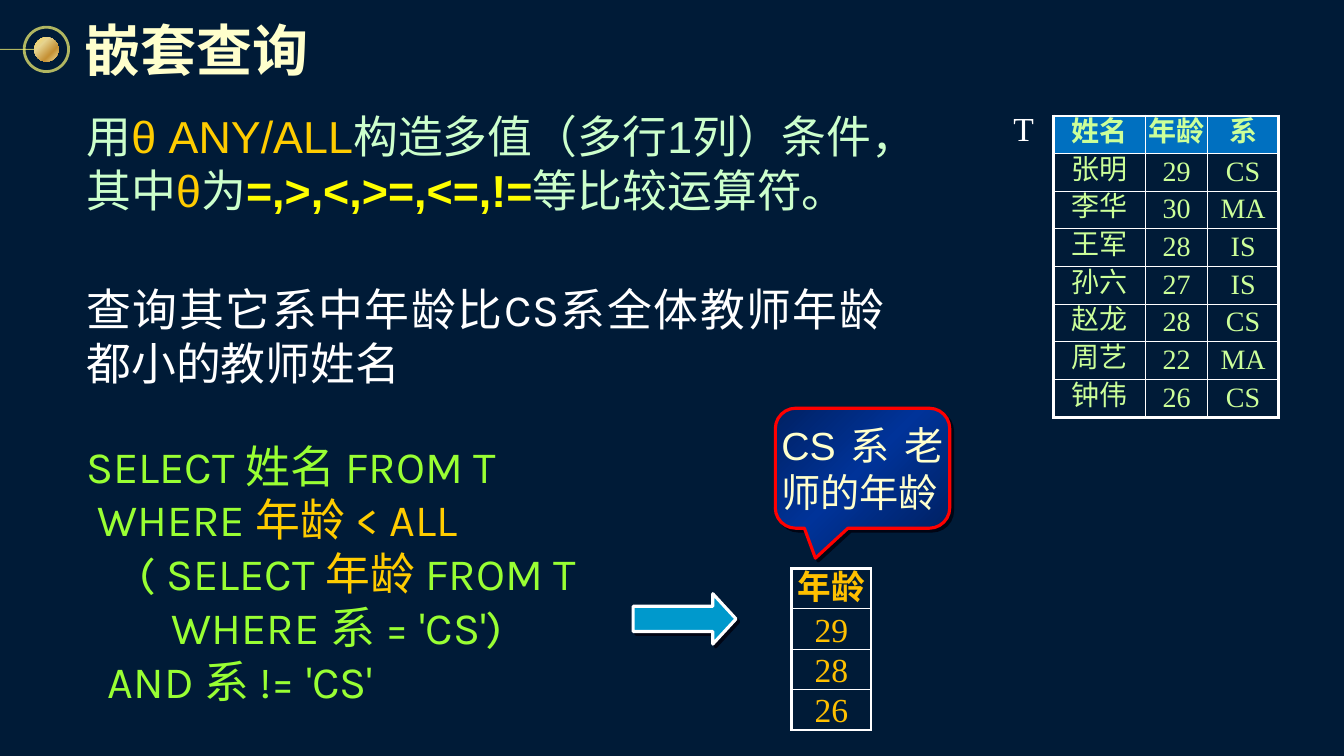
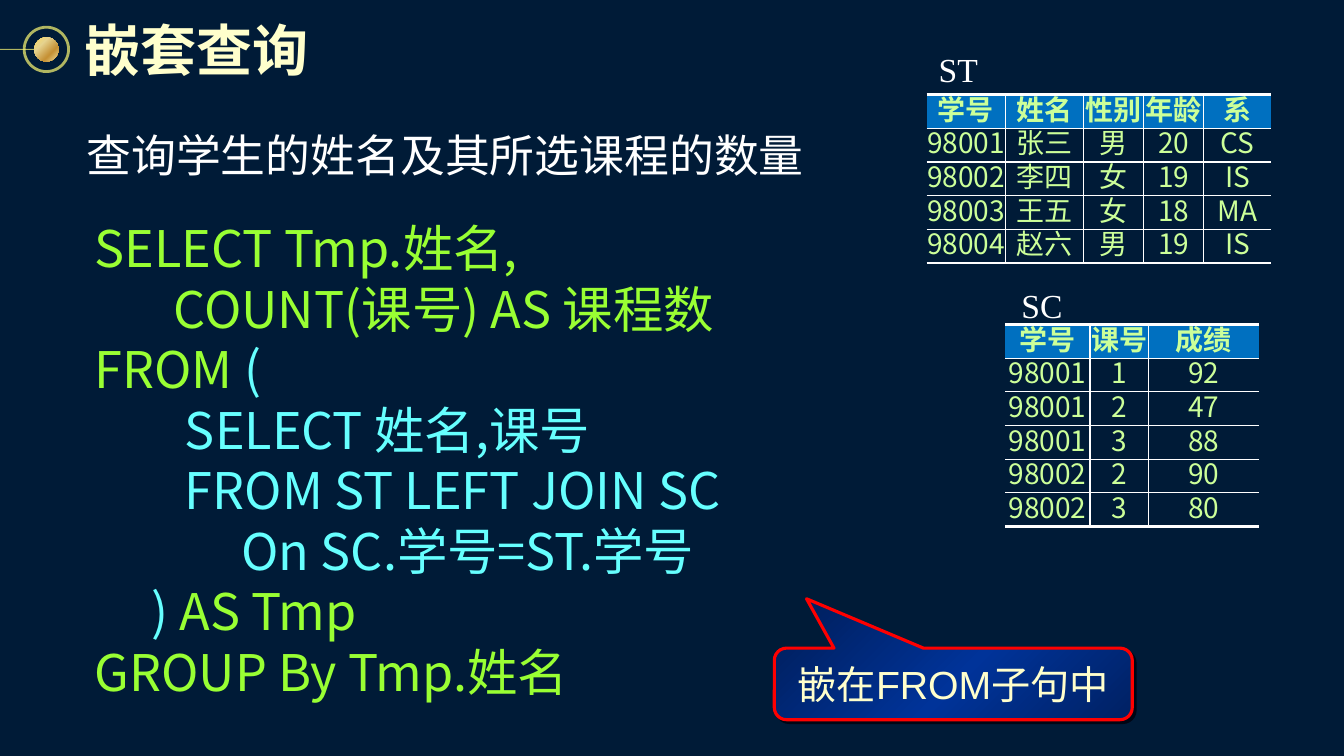
"""Build two lecture slides on nested SQL queries."""
from lxml import etree
from pptx import Presentation
from pptx.dml.color import RGBColor
from pptx.enum.shapes import MSO_CONNECTOR, MSO_SHAPE
from pptx.enum.text import MSO_ANCHOR, MSO_AUTO_SIZE, PP_ALIGN
from pptx.oxml.ns import qn
from pptx.util import Inches, Pt

OVAL = MSO_SHAPE.OVAL
ARROW = MSO_SHAPE.RIGHT_ARROW
CALLOUT = MSO_SHAPE.ROUNDED_RECTANGULAR_CALLOUT
STRAIGHT = MSO_CONNECTOR.STRAIGHT
TOP, MIDDLE = MSO_ANCHOR.TOP, MSO_ANCHOR.MIDDLE
FIT = MSO_AUTO_SIZE.SHAPE_TO_FIT_TEXT
LEFT, CENTER, JUSTIFY = PP_ALIGN.LEFT, PP_ALIGN.CENTER, PP_ALIGN.JUSTIFY

SANS, SERIF, CJK, CODE = "Arial", "Times New Roman", "Noto Sans CJK SC", "Karla"
NAVY, WHITE, CREAM, RED = "001B37", "FFFFFF", "FFFFCC", "FF0000"
GOLD, AMBER, YELLOW, RING = "FFCC00", "FFC000", "FFFF00", "FCF873"
LIME, CYAN, MINT, PALE_GREEN = "99FF33", "66FFFF", "CCFFCC", "CCFF99"
HEADER_BLUE, ARROW_BLUE, SHADOW = "0070C0", "0099CC", "000514"
BEAD_STOPS = [(0, "FCD860"), (31, "E6D38F"), (68, "C69135"), (100, "F1DF97")]
CALLOUT_STOPS = [(0, "002163"), (50, "003399"), (100, "002163")]
LINE_RATIO = 1.2
THIN, THICK = 1, 2.25


def rgb(value):
    """Turn a hex string into a colour."""
    return RGBColor.from_string(value)


def add_xml(parent, tag, **attributes):
    """Append a drawing element with the given attributes."""
    child = etree.SubElement(parent, qn(f"a:{tag}"))
    for key, value in attributes.items():
        child.set(key, str(value))
    return child


def add_shadow(effects):
    """Append the common lower-right shadow to an effect list."""
    shadow = add_xml(effects, "outerShdw", dist=Pt(2.8), dir=45 * 60000, algn="ctr")
    add_xml(shadow, "srgbClr", val=SHADOW)


def set_line(shape, color, width, opacity=100):
    """Give a shape or connector a solid line."""
    shape.line.color.rgb = rgb(color)
    shape.line.width = Pt(width)
    if opacity < 100:
        paint = shape.element.spPr.find(f"{qn('a:ln')}//{qn('a:srgbClr')}")
        add_xml(paint, "alpha", val=opacity * 1000)


def set_gradient(shape, stops, angle):
    """Fill a shape with a linear gradient of any number of stops."""
    shape.fill.gradient()
    gradient = shape.element.spPr.find(qn("a:gradFill"))
    stop_list = gradient.find(qn("a:gsLst"))
    for old_stop in list(stop_list):
        stop_list.remove(old_stop)
    for position, color in stops:
        stop = add_xml(stop_list, "gs", pos=position * 1000)
        add_xml(stop, "srgbClr", val=color)
    gradient.find(qn("a:lin")).set("ang", str(angle * 60000))


def set_borders(cell, widths):
    """Draw the left, right, top and bottom borders of a cell; 0 means none."""
    properties = cell._tc.get_or_add_tcPr()
    for side, width in zip("LRTB", widths):
        border = add_xml(properties, f"ln{side}", w=Pt(width))
        if width:
            add_xml(add_xml(border, "solidFill"), "srgbClr", val=WHITE)
        else:
            add_xml(border, "noFill")


class Deck:
    """Hold the shared style and the slide being drawn."""

    def __init__(self):
        """Start a wide presentation with a dark background."""
        self.prs = Presentation()
        self.prs.slide_width, self.prs.slide_height = Inches(13.33), Inches(7.5)
        self.layout = self.prs.slide_layouts[5]
        background = self.prs.slide_master.background.fill
        background.solid()
        background.fore_color.rgb = rgb(NAVY)
        self.slide = None

    def new_slide(self, title):
        """Add a slide with its title, decorating the layout the first time."""
        first = self.slide is None
        self.slide = self.prs.slides.add_slide(self.layout)
        if first:
            self.decorate_layout()
        heading = self.slide.shapes.title
        heading.left, heading.top = Inches(0.76), Inches(0.07)
        heading.width, heading.height = Inches(2.4), Inches(0.83)
        frame = heading.text_frame
        frame.text = title
        self.set_frame(frame, MIDDLE, (0.08,) * 4, wrap=False)
        frame.paragraphs[0].alignment = LEFT
        run = frame.paragraphs[0].runs[0]
        self.format_run(run, 40, CJK, CREAM, True)
        effects = etree.Element(qn("a:effectLst"))
        run.font._element.find(qn("a:solidFill")).addnext(effects)
        add_shadow(effects)

    def decorate_layout(self):
        """Put the ring, thread and bead beside the title on the layout."""
        ring = self.shape(OVAL, 0.24, 0.27, 0.44, 0.44)
        ring.fill.background()
        set_line(ring, RING, 2, 70)
        thread = self.slide.shapes.add_connector(
            STRAIGHT, 0, Inches(0.49), Inches(0.34), Inches(0.49))
        set_line(thread, RING, 0.75, 70)
        add_xml(thread.element.spPr, "effectLst")
        bead = self.shape(OVAL, 0.34, 0.37, 0.24, 0.24)
        set_gradient(bead, BEAD_STOPS, 135)
        bead.line.fill.background()
        ring.rotation = bead.rotation = 270
        for mark in (ring, thread, bead):
            self.layout.shapes.element.append(mark.element)

    def shape(self, preset, left, top, width, height, shadow=False):
        """Add a preset shape, with the common shadow if asked."""
        shape = self.slide.shapes.add_shape(
            preset, Inches(left), Inches(top), Inches(width), Inches(height))
        shape.shadow.inherit = False
        if shadow:
            add_shadow(shape.element.spPr.find(qn("a:effectLst")))
        return shape

    def set_frame(self, frame, anchor, margins, wrap=True):
        """Set anchor, margins and wrapping of a text frame."""
        frame.word_wrap = wrap
        if not wrap:
            frame.auto_size = FIT
        frame.vertical_anchor = anchor
        (frame.margin_left, frame.margin_top,
         frame.margin_right, frame.margin_bottom) = map(Inches, margins)

    def format_run(self, run, size, font, color, bold=False):
        """Format one run for Latin and Chinese letters."""
        run.font.size, run.font.name, run.font.bold = Pt(size), font, bold
        run.font.color.rgb = rgb(color)
        add_xml(run.font._element, "ea", typeface=CJK)

    def put_lines(self, frame, lines, size, font, align=LEFT):
        """Fill a frame with lines of (text, colour, optional bold) runs."""
        for index, pieces in enumerate(lines):
            paragraph = frame.add_paragraph() if index else frame.paragraphs[0]
            paragraph.alignment = align
            paragraph.line_spacing = Pt(size * LINE_RATIO)
            for text, *look in pieces:
                run = paragraph.add_run()
                run.text = text
                self.format_run(run, size, font, *look)

    def text(self, left, top, width, height, lines, size, font, align=JUSTIFY):
        """Add a wrapped text box."""
        box = self.slide.shapes.add_textbox(
            Inches(left), Inches(top), Inches(width), Inches(height))
        self.set_frame(box.text_frame, TOP, (0.1, 0.05, 0.1, 0.05))
        self.put_lines(box.text_frame, lines, size, font, align)

    def table_name(self, left, top, width, name):
        """Add the short name above or beside a table."""
        box = self.slide.shapes.add_textbox(
            Inches(left), Inches(top), Inches(width), Inches(0.4))
        self.set_frame(box.text_frame, TOP, (0,) * 4, wrap=False)
        self.put_lines(box.text_frame, [[(name, WHITE)]], 24, SERIF)

    def callout(self, left, top, width, height, pointer, words, align):
        """Add a red-edged callout pointing at part of the query."""
        bubble = self.shape(CALLOUT, left, top, width, height, shadow=True)
        for index, value in enumerate((*pointer, 0.17)):
            bubble.adjustments[index] = value
        set_gradient(bubble, CALLOUT_STOPS, 45)
        set_line(bubble, RED, THICK)
        self.set_frame(bubble.text_frame, MIDDLE, (0, 0.04, 0, 0.04))
        self.put_lines(bubble.text_frame, [[(words, CREAM)]], 28, SANS, align)

    def arrow(self, left, top, width, height):
        """Add the block arrow from the query to its result."""
        arrow = self.shape(ARROW, left, top, width, height, shadow=True)
        arrow.adjustments[0], arrow.adjustments[1] = 0.5, 0.46
        arrow.fill.solid()
        arrow.fill.fore_color.rgb = rgb(ARROW_BLUE)
        set_line(arrow, WHITE, THICK)

    def table(self, left, top, widths, row_height, rows, font, side=THICK,
              size=20, color=PALE_GREEN, header=HEADER_BLUE, anchor=TOP):
        """Add a ruled table whose outer side borders have the given width."""
        grid = self.slide.shapes.add_table(
            len(rows), len(widths), Inches(left), Inches(top),
            Inches(sum(widths)), Inches(row_height * len(rows))).table
        grid.first_row = grid.horz_banding = False
        for column, width in zip(grid.columns, widths):
            column.width = Inches(width)
        last_row, last_column = len(rows) - 1, len(widths) - 1
        for r, values in enumerate(rows):
            grid.rows[r].height = Inches(row_height)
            for c, value in enumerate(values):
                cell = grid.cell(r, c)
                cell.margin_left = cell.margin_right = 0
                cell.margin_top = cell.margin_bottom = 0
                cell.vertical_anchor = anchor
                set_borders(cell, (side if c == 0 else THIN,
                                   side if c == last_column else THIN,
                                   THICK if r == 0 else THIN,
                                   THICK if r == last_row else THIN))
                if r == 0 and header:
                    cell.fill.solid()
                    cell.fill.fore_color.rgb = rgb(header)
                else:
                    cell.fill.background()
                self.put_lines(cell.text_frame, [[(value, color, r == 0)]],
                               size, font, CENTER)


def any_all_slide(deck):
    """Draw the slide on comparing with ANY and ALL."""
    deck.new_slide("嵌套查询")
    deck.text(0.76, 2.75, 8.11, 1.83,
              [[("查询其它系中年龄比CS系全体教师年龄都小的教师姓名", WHITE)]], 32, CODE)
    deck.text(0.76, 4.3, 8.11, 1.83, [
        [("SELECT 姓名 FROM T", LIME)],
        [(" WHERE ", LIME), ("年龄 < ALL", GOLD)],
        [("     ( SELECT ", LIME), ("年龄 ", GOLD), ("FROM T", LIME)],
        [("        WHERE 系 = 'CS')", LIME)],
        [("  AND 系 != 'CS'", LIME)],
    ], 32, CODE)
    deck.table(7.85, 5.64, [0.79], 0.4, [["年龄"], ["29"], ["28"], ["26"]], SERIF,
               size=24, color=AMBER, header=None, anchor=MIDDLE)
    deck.callout(7.69, 4.05, 1.73, 1.19, (-0.27, 0.75), "CS系老师的年龄", JUSTIFY)
    teachers = [
        ("姓名", "年龄", "系"), ("张明", "29", "CS"), ("李华", "30", "MA"),
        ("王军", "28", "IS"), ("孙六", "27", "IS"), ("赵龙", "28", "CS"),
        ("周艺", "22", "MA"), ("钟伟", "26", "CS"),
    ]
    deck.table(10.45, 1.15, [0.91, 0.62, 0.7], 2.99 / len(teachers), teachers, SERIF)
    deck.table_name(10.05, 1.07, 0.21, "T")
    deck.text(0.76, 1.03, 8.66, 1.5, [[
        ("用", MINT), ("θ ANY/ALL", GOLD), ("构造多值（多行1列）条件，其中", MINT),
        ("θ", GOLD), ("为", MINT), ("=,>,<,>=,<=,!=", YELLOW, True),
        ("等比较运算符。", MINT),
    ]], 32, SANS, LEFT)
    deck.arrow(6.28, 5.89, 1.02, 0.5)


def from_clause_slide(deck):
    """Draw the slide on a query nested in the FROM clause."""
    deck.new_slide("嵌套查询")
    students = [
        ("学号", "姓名", "性别", "年龄", "系"), ("98001", "张三", "男", "20", "CS"),
        ("98002", "李四", "女", "19", "IS"), ("98003", "王五", "女", "18", "MA"),
        ("98004", "赵六", "男", "19", "IS"),
    ]
    deck.table(9.19, 0.94, [0.78, 0.78, 0.59, 0.6, 0.67], 1.67 / len(students),
               students, CJK, side=0)
    scores = [
        ("学号", "课号", "成绩"), ("98001", "1", "92"), ("98001", "2", "47"),
        ("98001", "3", "88"), ("98002", "2", "90"), ("98002", "3", "80"),
    ]
    deck.table(9.97, 3.22, [0.84, 0.58, 1.1], 2 / len(scores), scores, CJK, side=0)
    deck.table_name(10.13, 2.83, 0.41, "SC")
    deck.text(0.84, 2.11, 8.11, 1.83, [
        [("SELECT Tmp.姓名,", LIME)],
        [("       COUNT(课号) AS 课程数", LIME)],
        [("FROM ", LIME), ("(", CYAN)],
        [("        SELECT 姓名,课号", CYAN)],
        [("        FROM ST LEFT JOIN SC", CYAN)],
        [("             On SC.学号=ST.学号", CYAN)],
        [("     )", CYAN), (" AS Tmp", LIME)],
        [("GROUP By Tmp.姓名", LIME)],
    ], 36, CJK)
    deck.callout(7.68, 6.43, 3.55, 0.71, (-0.41, -1.19), "嵌在FROM子句中", CENTER)
    deck.text(0.76, 1.22, 7.48, 0.55,
              [[("查询学生的姓名及其所选课程的数量", WHITE)]], 32, CJK)
    deck.table_name(9.31, 0.49, 0.39, "ST")


def main():
    """Build and save the slides."""
    deck = Deck()
    any_all_slide(deck)
    from_clause_slide(deck)
    deck.prs.save("out.pptx")


if __name__ == "__main__":
    main()
